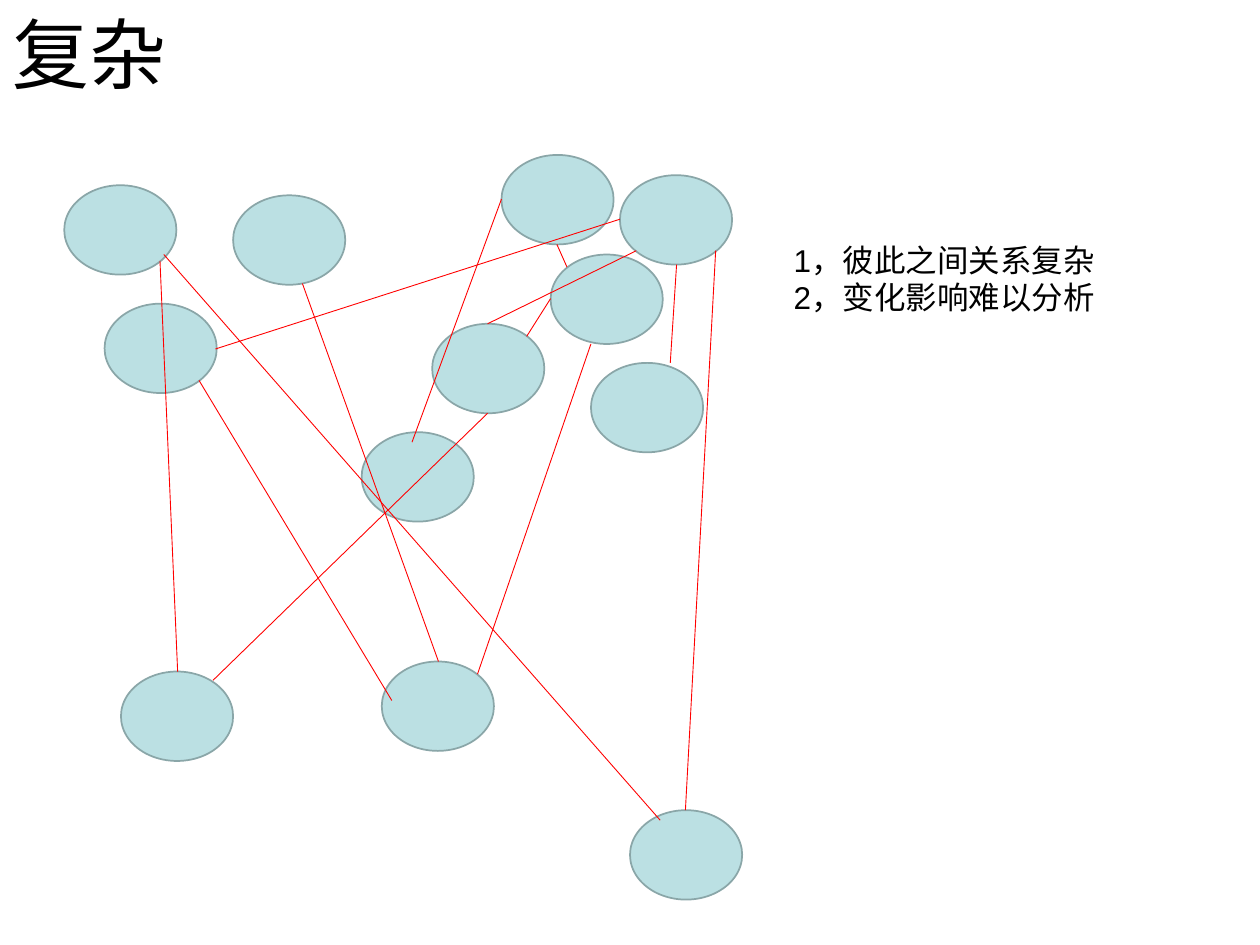
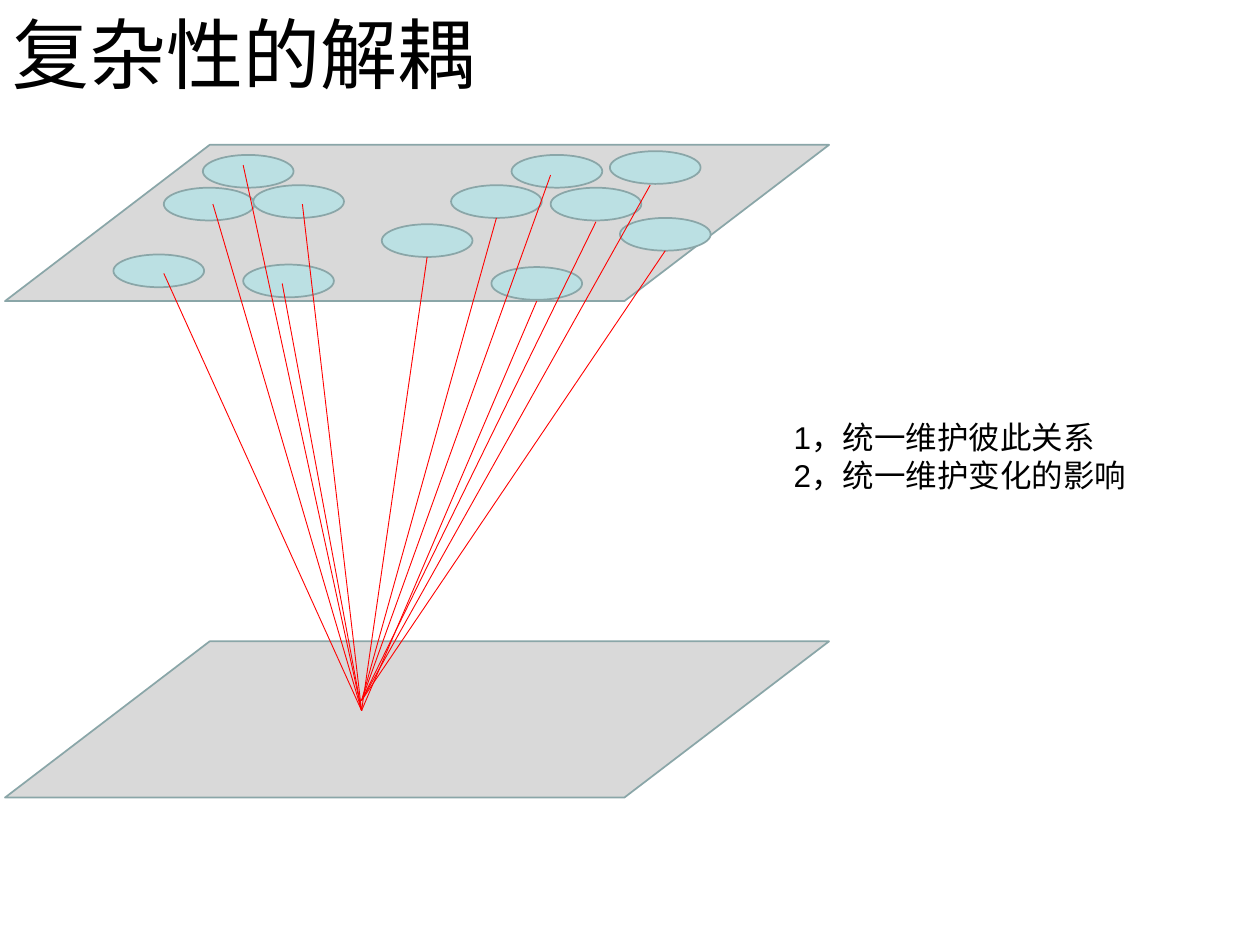
from lxml import etree
from pptx import Presentation
from pptx.dml.color import RGBColor
from pptx.enum.shapes import MSO_CONNECTOR, MSO_SHAPE
from pptx.enum.text import MSO_ANCHOR, MSO_AUTO_SIZE
from pptx.oxml.ns import qn
from pptx.util import Pt

PX = 9144
SLIDE_W, SLIDE_H = 1000, 750
TITLE_H = 83
NOTES_X, NOTES_W = 620, 308

BLACK = RGBColor(0x00, 0x00, 0x00)
RED = RGBColor(0xFF, 0x00, 0x00)
AQUA = RGBColor(0xBB, 0xE0, 0xE3)
GREY = RGBColor(0xD9, 0xD9, 0xD9)
OUTLINE = RGBColor(0x8A, 0xA6, 0xA8)
FONT = "Arial"

ELLIPSE = MSO_SHAPE.OVAL
PARALLELOGRAM = MSO_SHAPE.PARALLELOGRAM
STRAIGHT = MSO_CONNECTOR.STRAIGHT
MIDDLE = MSO_ANCHOR.MIDDLE
TOP = MSO_ANCHOR.TOP
FIT_SHAPE = MSO_AUTO_SIZE.SHAPE_TO_FIT_TEXT
NO_FIT = MSO_AUTO_SIZE.NONE

TANGLE_NODES = [
    (0, 24), (32, 118), (134, 32), (45, 410), (236, 220), (449, 520),
    (386, 79), (418, 165), (292, 134), (252, 402), (347, 0), (441, 16),
]
TANGLE_LINKS = [
    (391, 71, 399, 89), (486, 87, 481, 165), (386, 114, 367, 144),
    (517, 76, 493, 520), (454, 76, 336, 134), (441, 51, 120, 154),
    (347, 35, 276, 228), (336, 205, 118, 417), (418, 150, 328, 412),
    (189, 102, 297, 402), (76, 84, 90, 410), (79, 79, 473, 528),
    (107, 179, 260, 433),
]
LAYER_NODES = [
    (157, 8), (126, 34), (197, 32), (86, 87), (189, 95), (386, 97),
    (299, 63), (402, 8), (480, 5), (488, 58), (433, 34), (354, 32),
]
HUB_LINKS = {
    (283, 449): [(126, 102), (220, 110), (236, 47), (189, 16), (165, 47),
                 (422, 124), (335, 89)],
    (283, 441): [(390, 58), (469, 61), (524, 84), (512, 32), (433, 24)],
}


def px(*lengths):
    return [n * PX for n in lengths]


def add_text(s, box, lines, size, anchor=TOP, fit=NO_FIT):
    tf = s.shapes.add_textbox(*px(*box)).text_frame
    tf.word_wrap = True
    tf.auto_size = fit
    tf.vertical_anchor = anchor
    for i, line in enumerate(lines):
        p = tf.paragraphs[0] if i == 0 else tf.add_paragraph()
        r = p.add_run()
        r.text = line
        r.font.size = Pt(size)
        r.font.name = FONT
        r.font.color.rgb = BLACK


def add_outlined(s, kind, box, fill):
    sp = s.shapes.add_shape(kind, *px(*box))
    sp.shadow.inherit = False
    sp.fill.solid()
    sp.fill.fore_color.rgb = fill
    sp.line.color.rgb = OUTLINE
    sp.line.width = Pt(1)
    return sp


def add_nodes(s, x, y, w, h, spots):
    for dx, dy in spots:
        add_outlined(s, ELLIPSE, (x + dx, y + dy, w, h), AQUA)


def add_link(s, x, y, x1, y1, x2, y2):
    link = s.shapes.add_connector(STRAIGHT, *px(x + x1, y + y1, x + x2, y + y2))
    link.line.color.rgb = RED
    link.line.width = Pt(0.5)
    etree.SubElement(link._element.spPr, qn("a:effectLst"))


def add_tangle(s, x, y):
    add_nodes(s, x, y, 89, 71, TANGLE_NODES)
    for ends in TANGLE_LINKS:
        add_link(s, x, y, *ends)


def add_layers(s, x, y):
    for dy in (0, 394):
        plane = add_outlined(s, PARALLELOGRAM, (x, y + dy, 654, 124), GREY)
        plane.adjustments[0] = 1.31
    add_nodes(s, x, y, 72, 26, LAYER_NODES)
    for hub, starts in HUB_LINKS.items():
        for start in starts:
            add_link(s, x, y, *start, *hub)


def add_slide(prs, title):
    s = prs.slides.add_slide(prs.slide_layouts[6])
    add_text(s, (0, 0, SLIDE_W, TITLE_H), [title], 44, anchor=MIDDLE)
    return s


def add_notes(s, y, h, lines):
    add_text(s, (NOTES_X, y, NOTES_W, h), lines, 18, fit=FIT_SHAPE)


def main():
    prs = Presentation()
    prs.slide_width, prs.slide_height = px(SLIDE_W, SLIDE_H)

    s = add_slide(prs, "复杂")
    add_tangle(s, 51, 123)
    add_notes(s, 186, 71, ["1，彼此之间关系复杂", "2，变化影响难以分析"])

    s = add_slide(prs, "复杂性的解耦")
    add_layers(s, 4, 115)
    add_notes(s, 327, 131, ["1，统一维护彼此关系", "2，统一维护变化的影响"])

    prs.save("out.pptx")


if __name__ == "__main__":
    main()
